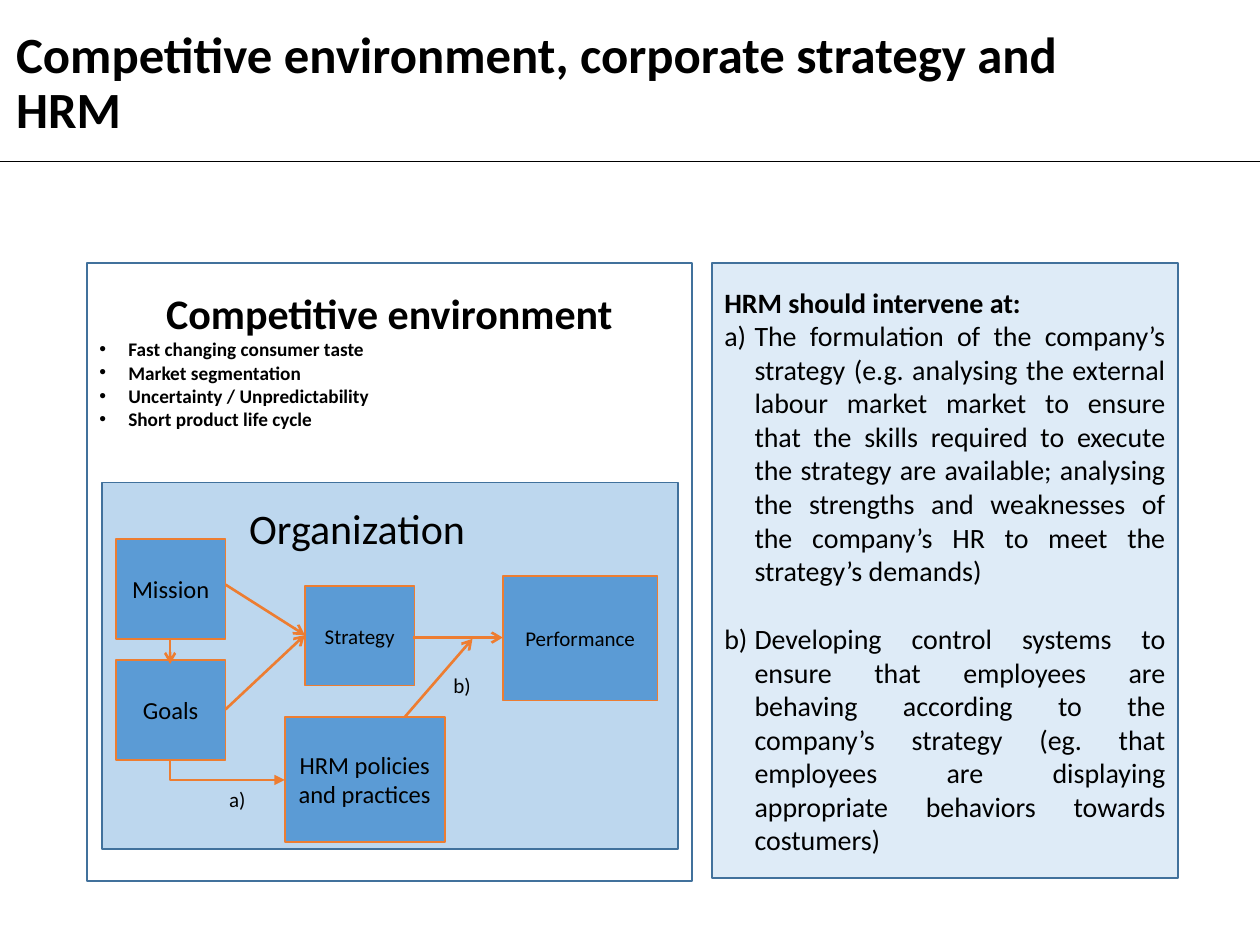
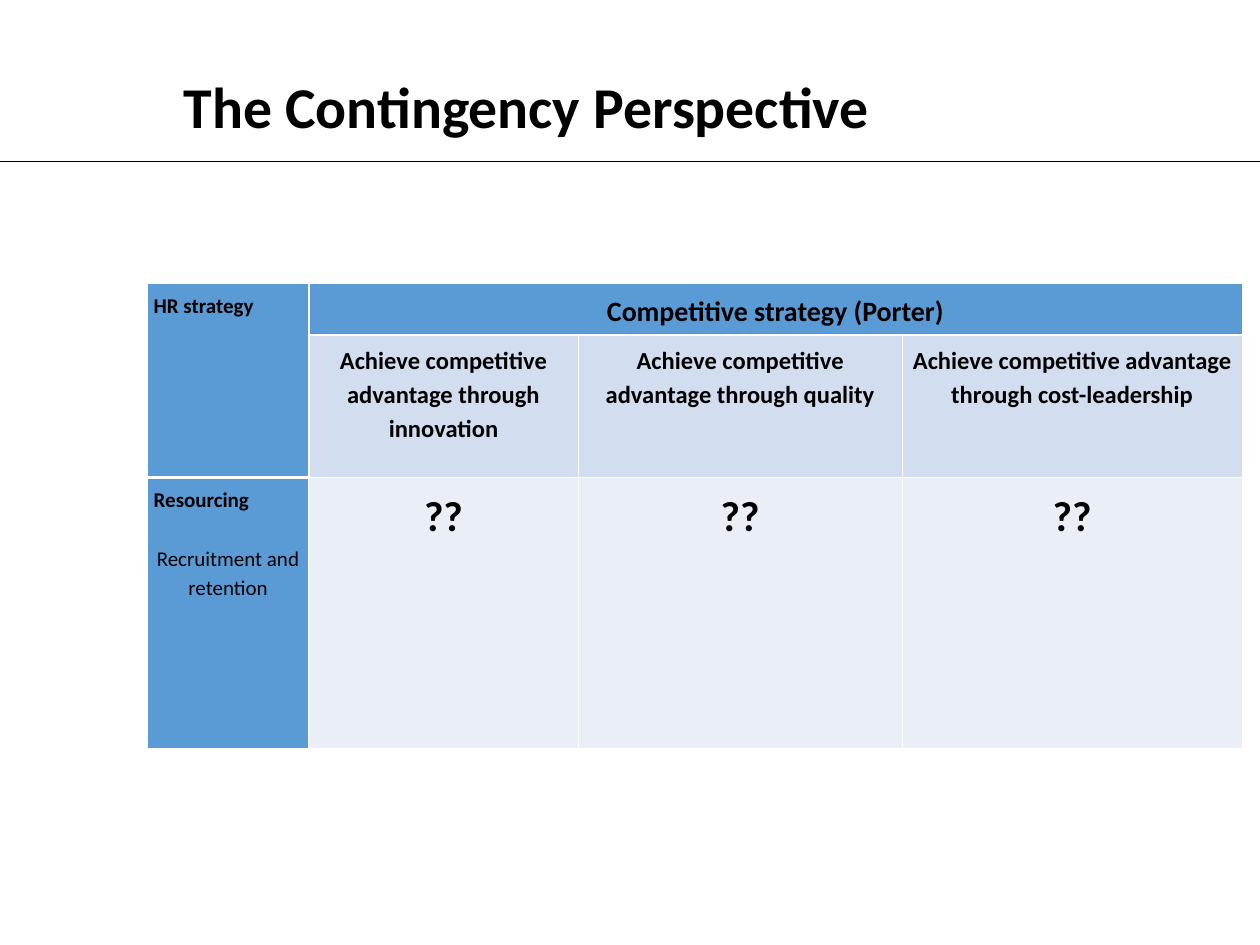
from dataclasses import dataclass
from typing import NamedTuple

from lxml.etree import SubElement
from pptx import Presentation
from pptx.dml.color import RGBColor
from pptx.enum.shapes import MSO_CONNECTOR, MSO_SHAPE
from pptx.enum.text import MSO_ANCHOR, PP_ALIGN
from pptx.oxml.ns import qn
from pptx.shapes.autoshape import Shape
from pptx.shapes.connector import Connector
from pptx.slide import Slide
from pptx.table import _Cell
from pptx.text.text import TextFrame, _Paragraph
from pptx.util import Inches, Pt


@dataclass(frozen=True)
class Theme:
    font: str = "Calibri"
    black: str = "000000"
    white: str = "FFFFFF"
    outline: str = "41719C"
    accent: str = "ED7D31"
    blue: str = "5B9BD5"
    organization: str = "BDD7EE"
    advice: str = "DEEBF7"
    strategy_row: str = "D2DEEF"
    answer_row: str = "EAEFF7"
    heading: int = 24
    body: int = 16
    node: int = 14
    small: int = 12
    bullet: int = 11
    thin: float = 0.45
    thick: float = 1.47


THEME = Theme()


class Box(NamedTuple):
    left: float
    top: float
    width: float
    height: float


class Node(NamedTuple):
    text: str
    box: Box
    size: int


class Label(NamedTuple):
    text: str
    box: Box
    size: int


class Arrow(NamedTuple):
    begin: tuple[float, float]
    end: tuple[float, float]


class Line(NamedTuple):
    text: str
    size: int
    bold: bool = False
    align: PP_ALIGN = PP_ALIGN.LEFT
    bullet: str = ""
    indent: float = 0
    before: float = 0
    spacing: float = 1.0


class CellSpec(NamedTuple):
    fill: str
    lines: list[Line]


def set_bullet(paragraph: _Paragraph, bullet: str, indent: float) -> None:
    properties = paragraph._p.get_or_add_pPr()
    properties.set("marL", str(Inches(indent)))
    properties.set("indent", str(-Inches(indent)))
    if bullet == "a)":
        SubElement(properties, qn("a:buAutoNum"), type="alphaLcParenR")
    else:
        SubElement(properties, qn("a:buFont"), typeface="Arial")
        SubElement(properties, qn("a:buChar"), char=bullet)


def write_lines(text_frame: TextFrame, lines: list[Line]) -> None:
    text_frame.text = "\n".join(line.text for line in lines)
    for paragraph, line in zip(text_frame.paragraphs, lines):
        paragraph.alignment = line.align
        paragraph.line_spacing = line.spacing
        paragraph.space_before = Pt(line.before)
        if line.bullet:
            set_bullet(paragraph, line.bullet, line.indent)
        for run in paragraph.runs:
            run.font.name = THEME.font
            run.font.size = Pt(line.size)
            run.font.bold = line.bold
            run.font.color.rgb = RGBColor.from_string(THEME.black)


def add_text(slide: Slide, box: Box, line: Line, wrap: bool = True,
             anchor: MSO_ANCHOR = MSO_ANCHOR.TOP) -> None:
    shape = slide.shapes.add_textbox(*map(Inches, box))
    shape.text_frame.word_wrap = wrap
    shape.text_frame.vertical_anchor = anchor
    write_lines(shape.text_frame, [line])


def add_panel(slide: Slide, box: Box, fill: str, outline: str, lines: list[Line],
              anchor: MSO_ANCHOR = MSO_ANCHOR.MIDDLE) -> Shape:
    shape = slide.shapes.add_shape(MSO_SHAPE.RECTANGLE, *map(Inches, box))
    shape.shadow.inherit = False
    shape.fill.solid()
    shape.fill.fore_color.rgb = RGBColor.from_string(fill)
    shape.line.color.rgb = RGBColor.from_string(outline)
    shape.line.width = Pt(1)
    shape.text_frame.word_wrap = True
    shape.text_frame.vertical_anchor = anchor
    if lines:
        write_lines(shape.text_frame, lines)
    return shape


def add_node(slide: Slide, node: Node) -> None:
    line = Line(node.text, node.size, align=PP_ALIGN.CENTER)
    add_panel(slide, node.box, THEME.blue, THEME.accent, [line])


def add_line(slide: Slide, begin: tuple[float, float], end: tuple[float, float],
             color: str, width: float) -> Connector:
    connector = slide.shapes.add_connector(
        MSO_CONNECTOR.STRAIGHT, *map(Inches, (*begin, *end)))
    connector.line.color.rgb = RGBColor.from_string(color)
    connector.line.width = Pt(width)
    SubElement(connector._element.spPr, qn("a:effectLst"))
    return connector


def add_arrow(slide: Slide, arrow: Arrow) -> None:
    connector = add_line(slide, arrow.begin, arrow.end, THEME.accent, 1.5)
    SubElement(connector.line._get_or_add_ln(), qn("a:tailEnd"), type="arrow")


def add_elbow(slide: Slide, corner: tuple[float, float], target: tuple[float, float]) -> None:
    connector = add_line(slide, corner, target, THEME.accent, 1.5)
    properties = connector._element.spPr
    properties.find(qn("a:xfrm")).set("rot", str(180 * 60000))
    properties.find(qn("a:prstGeom")).set("prst", "bentConnector2")
    SubElement(connector.line._get_or_add_ln(), qn("a:headEnd"), type="triangle")


def add_titled_slide(presentation: Presentation, box: Box, title: str, size: int,
                     anchor: MSO_ANCHOR) -> Slide:
    slide = presentation.slides.add_slide(presentation.slide_layouts[6])
    add_line(slide, (0, 1.28), (10, 1.28), THEME.black, 0.5)
    add_text(slide, box, Line(title, size, True, spacing=0.9), anchor=anchor)
    return slide


def set_borders(cell: _Cell, row: int, column: int) -> None:
    side_is_thick = {
        "L": column == 1 and row < 2,
        "R": column == 0 and row < 2,
        "T": row == 1,
        "B": row == 0,
    }
    properties = cell._tc.get_or_add_tcPr()
    for side, is_thick in side_is_thick.items():
        width = Pt(THEME.thick if is_thick else THEME.thin)
        border = SubElement(properties, qn(f"a:ln{side}"), w=str(width))
        fill = SubElement(border, qn("a:solidFill"))
        SubElement(fill, qn("a:srgbClr"), val=THEME.white)


def build_environment_slide(presentation: Presentation) -> None:
    slide = add_titled_slide(
        presentation, Box(0.03, 0.19, 8.56, 0.77),
        "Competitive environment, corporate strategy and HRM", 29, MSO_ANCHOR.TOP)

    trends = ["Fast changing consumer taste", "Market segmentation",
              "Uncertainty / Unpredictability", "Short product life cycle"]
    environment = [Line("Competitive environment", THEME.heading, True, PP_ALIGN.CENTER)]
    environment += [Line(trend, THEME.bullet, True, PP_ALIGN.JUSTIFY, "•", 0.23)
                    for trend in trends]
    panel = add_panel(slide, Box(0.69, 2.09, 4.8, 4.9), THEME.white, THEME.outline,
                      environment, MSO_ANCHOR.TOP)
    panel.text_frame.margin_top = Inches(0.19)
    add_panel(slide, Box(0.81, 3.83, 4.57, 2.91), THEME.organization, THEME.outline, [])

    nodes = [
        Node("Mission", Box(0.92, 4.28, 0.87, 0.79), THEME.node),
        Node("Goals", Box(0.92, 5.24, 0.87, 0.79), THEME.node),
        Node("Strategy", Box(2.42, 4.65, 0.87, 0.79), THEME.small),
        Node("Performance", Box(3.99, 4.57, 1.23, 0.99), THEME.small),
    ]
    for node in nodes:
        add_node(slide, node)

    arrows = [
        Arrow((1.35, 5.06), (1.35, 5.27)),
        Arrow((1.79, 4.64), (2.42, 5.04)),
        Arrow((1.79, 5.63), (2.42, 5.04)),
        Arrow((3.28, 5.06), (3.99, 5.06)),
        Arrow((2.91, 6.04), (3.75, 5.07)),
    ]
    for arrow in arrows:
        add_arrow(slide, arrow)
    add_elbow(slide, (1.35, 6.02), (2.26, 6.19))
    add_node(slide, Node("HRM policies and practices", Box(2.26, 5.69, 1.27, 0.99), THEME.node))

    labels = [
        Label("a)", Box(1.72, 6.19, 0.33, 0.3), THEME.small),
        Label("b)", Box(3.5, 5.29, 0.34, 0.3), THEME.small),
        Label("Organization", Box(1.88, 3.94, 1.93, 0.5), THEME.heading),
    ]
    for label in labels:
        add_text(slide, label.box, Line(label.text, label.size), wrap=False)

    formulation = (
        "The formulation of the company’s strategy (e.g. analysing the external labour "
        "market market to ensure that the skills required to execute the strategy are "
        "available; analysing the strengths and weaknesses of the company’s HR to meet "
        "the strategy’s demands)")
    control = (
        "Developing control systems to ensure that employees are behaving according to "
        "the company’s strategy (eg. that employees are displaying appropriate behaviors "
        "towards costumers)")
    advice = [
        Line("HRM should intervene at:", THEME.body, True),
        Line(formulation, THEME.body, False, PP_ALIGN.JUSTIFY, "a)", 0.24),
        Line(control, THEME.body, False, PP_ALIGN.JUSTIFY, "a)", 0.24, before=19.5),
    ]
    add_panel(slide, Box(5.65, 2.09, 3.7, 4.88), THEME.advice, THEME.outline, advice)


def build_contingency_slide(presentation: Presentation) -> None:
    slide = add_titled_slide(presentation, Box(1.36, 0.49, 8.47, 0.77),
                             "The Contingency Perspective", 33, MSO_ANCHOR.MIDDLE)

    def cell_line(text: str, size: int, bold: bool = True,
                  align: PP_ALIGN = PP_ALIGN.CENTER, before: float = 0) -> Line:
        return Line(text, size, bold, align, before=before, spacing=1.15)

    goals = ["innovation", "quality", "cost-leadership"]
    blank = CellSpec(THEME.blue, [])
    rows = [
        [CellSpec(THEME.blue, [cell_line("HR strategy", THEME.small, align=PP_ALIGN.LEFT)]),
         CellSpec(THEME.blue, [cell_line("Competitive strategy (Porter)", THEME.body)]),
         blank, blank],
        [blank] + [
            CellSpec(THEME.strategy_row, [
                cell_line(f"Achieve competitive advantage through {goal}", THEME.node)])
            for goal in goals],
        [CellSpec(THEME.blue, [
            cell_line("Resourcing", THEME.small, align=PP_ALIGN.LEFT),
            cell_line("Recruitment and retention", THEME.small, False, before=16.8)])]
        + [CellSpec(THEME.answer_row, [cell_line("??", THEME.heading)]) for _ in goals],
    ]
    widths = [1.28, 2.14, 2.57, 2.7]
    heights = [0.41, 1.13, 2.15]
    box = Box(1.17, 2.25, sum(widths), sum(heights))
    table = slide.shapes.add_table(len(rows), len(widths), *map(Inches, box)).table
    table.first_row = False
    table.horz_banding = False
    for column, width in zip(table.columns, widths):
        column.width = Inches(width)
    for row, height in zip(table.rows, heights):
        row.height = Inches(height)
    table.cell(0, 0).merge(table.cell(1, 0))
    table.cell(0, 1).merge(table.cell(0, 3))

    for row_index, row in enumerate(rows):
        for column_index, spec in enumerate(row):
            cell = table.cell(row_index, column_index)
            set_borders(cell, row_index, column_index)
            cell.fill.solid()
            cell.fill.fore_color.rgb = RGBColor.from_string(spec.fill)
            cell.margin_left = cell.margin_right = Inches(0.05)
            cell.margin_top = cell.margin_bottom = Inches(0.05)
            if spec.lines:
                write_lines(cell.text_frame, spec.lines)


def main() -> None:
    presentation = Presentation()
    presentation.slide_width = Inches(10)
    presentation.slide_height = Inches(7.5)
    build_environment_slide(presentation)
    build_contingency_slide(presentation)
    presentation.save("out.pptx")


main()
